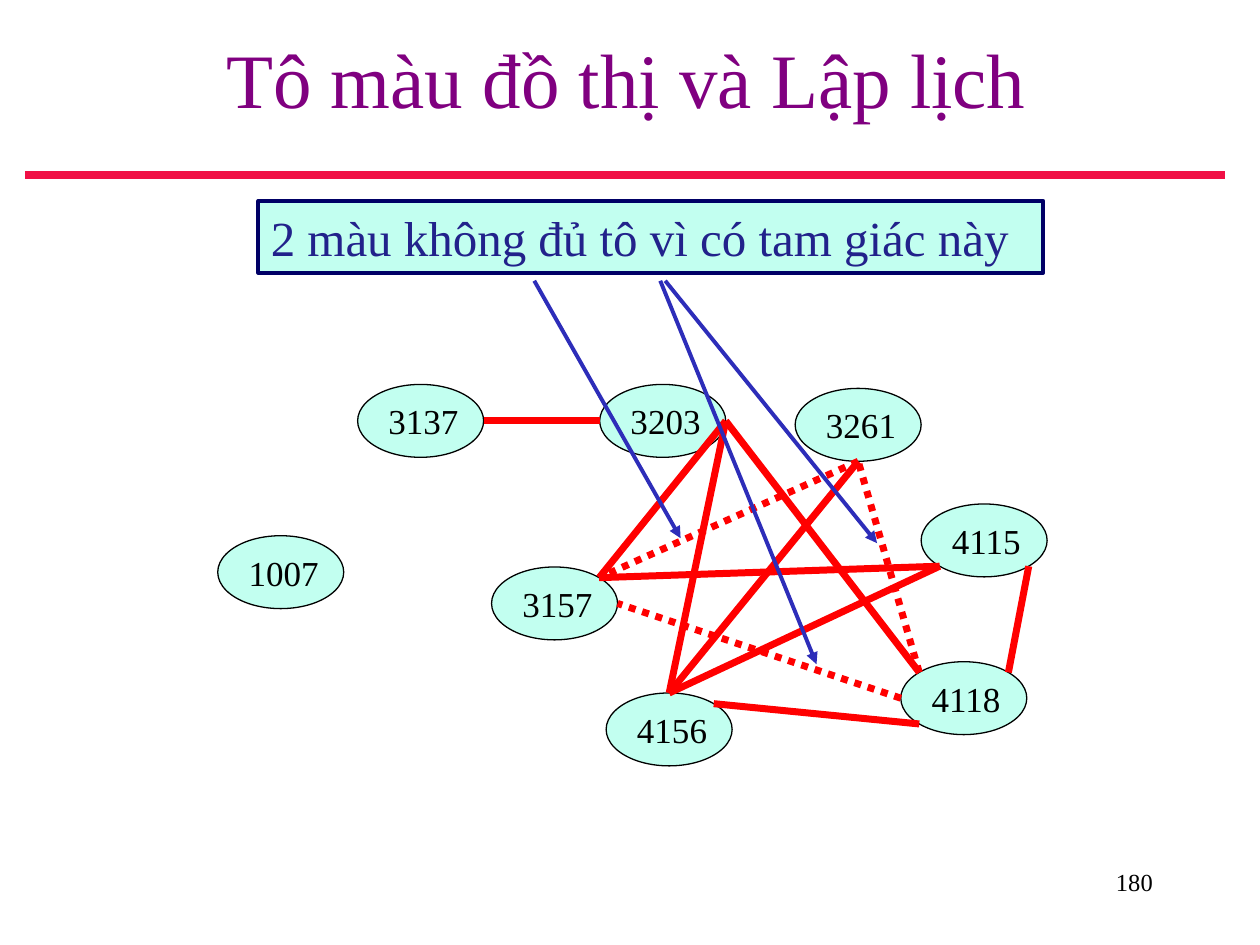
import math

import pptx
import pptx.dml.color
import pptx.enum.dml
import pptx.enum.shapes
import pptx.enum.text
import pptx.oxml.ns
import pptx.util
from lxml import etree
from pptx.util import Cm

FONT = "Times New Roman"
COLORS = {
    "title": "800080", "rule": "F01045", "text": "000000", "mint": "C2FFF0",
    "edge": "FF0000", "arrow": "2D2DB9", "frame": "000066", "note": "22228B",
}
ALIGN = pptx.enum.text.PP_ALIGN
ANCHOR = pptx.enum.text.MSO_ANCHOR
SHAPE = pptx.enum.shapes.MSO_SHAPE

# Courses: left and top of each ellipse, in cm
NODE_W, NODE_H = 2.54, 1.47
NODES = {
    "1007": (4.39, 10.8), "3137": (7.21, 7.75), "3157": (9.91, 11.43),
    "3203": (12.09, 7.75), "4115": (18.57, 10.16), "3261": (16.03, 7.83),
    "4156": (12.22, 13.97), "4118": (18.16, 13.34),
}
# Points on an ellipse, as angles clockwise from the right
SITES = {"r": 0, "br": 45, "b": 90, "bl": 135, "l": 180, "tl": 225, "t": 270, "tr": 315}
# Conflicts: start course and site, end course and site, dotted
EDGES = [
    ("3137", "r", "3203", "l", False),
    ("3157", "tr", "3203", "r", False),
    ("4156", "t", "3203", "r", False),
    ("4118", "l", "3157", "r", True),
    ("4115", "bl", "3157", "tr", False),
    ("3261", "b", "3157", "tr", True),
    ("4118", "bl", "4156", "tr", False),
    ("4118", "tl", "3261", "b", True),
    ("4118", "tl", "3203", "r", False),
    ("4118", "tr", "4115", "br", False),
    ("3261", "b", "4156", "t", False),
    ("4156", "t", "4115", "bl", False),
]
# Arrows: tip, then start under the note
ARROWS = [
    ((13.72, 10.85), (10.77, 5.66)),
    ((16.46, 13.39), (13.31, 5.66)),
    ((17.68, 10.95), (13.41, 5.66)),
]


def rgb(name):
    return pptx.dml.color.RGBColor.from_string(COLORS[name])


def write(sp, text, size, color, align=ALIGN.LEFT, anchor=ANCHOR.TOP, wrap=True):
    tf = sp.text_frame
    tf.word_wrap = wrap
    tf.vertical_anchor = anchor
    p = tf.paragraphs[0]
    p.alignment = align
    r = p.add_run()
    r.text = text
    r.font.name = FONT
    r.font.size = pptx.util.Pt(size)
    r.font.color.rgb = rgb(color)


def add_text(s, box, text, size, color, **layout):
    sp = s.shapes.add_textbox(*map(Cm, box))
    write(sp, text, size, color, **layout)


def add_box(s, kind, box, line, width):
    sp = s.shapes.add_shape(kind, *map(Cm, box))
    sp.shadow.inherit = False
    sp.fill.solid()
    sp.fill.fore_color.rgb = rgb("mint")
    sp.line.color.rgb = rgb(line)
    sp.line.width = pptx.util.Pt(width)
    return sp


def add_line(s, start, end, color, width, dotted=False, arrow=False):
    cn = s.shapes.add_connector(
        pptx.enum.shapes.MSO_CONNECTOR.STRAIGHT, *map(Cm, start + end))
    cn.line.color.rgb = rgb(color)
    cn.line.width = pptx.util.Pt(width)
    if dotted:
        cn.line.dash_style = pptx.enum.dml.MSO_LINE.ROUND_DOT
    qn = pptx.oxml.ns.qn
    if arrow:
        ln = cn.line._get_or_add_ln()
        etree.SubElement(ln, qn("a:headEnd"), type="triangle")
    etree.SubElement(cn._element.spPr, qn("a:effectLst"))


def site(node, name):
    left, top = NODES[node]
    angle = math.radians(SITES[name])
    return (left + NODE_W / 2 * (1 + math.cos(angle)),
            top + NODE_H / 2 * (1 + math.sin(angle)))


def main():
    prs = pptx.Presentation()
    prs.slide_width, prs.slide_height = Cm(25.4), Cm(19.05)
    s = prs.slides.add_slide(prs.slide_layouts[6])

    # Title, rule and page number
    add_line(s, (0.5, 3.53), (24.7, 3.53), "rule", 4.5)
    add_text(s, (18.21, 17.35, 5.28, 1.27), "180", 14, "text", align=ALIGN.RIGHT)
    add_text(s, (0.5, 0, 24.26, 3.12), "Tô màu đồ thị và Lập lịch", 44, "title",
             align=ALIGN.CENTER, anchor=ANCHOR.MIDDLE)

    # Graph
    for label, corner in NODES.items():
        sp = add_box(s, SHAPE.OVAL, corner + (NODE_W, NODE_H), "text", 0.75)
        write(sp, label, 20, "text", anchor=ANCHOR.MIDDLE, wrap=False)
    for a, a_site, b, b_site, dotted in EDGES:
        add_line(s, site(a, a_site), site(b, b_site), "edge", 4, dotted=dotted)

    # Note pointing at the triangle
    for tip, start in ARROWS:
        add_line(s, tip, start, "arrow", 2.25, arrow=True)
    sp = add_box(s, SHAPE.RECTANGLE, (5.21, 4.05, 15.82, 1.45), "frame", 2.25)
    write(sp, "2 màu không đủ tô vì có tam giác này", 28, "note")

    prs.save("out.pptx")


if __name__ == "__main__":
    main()
